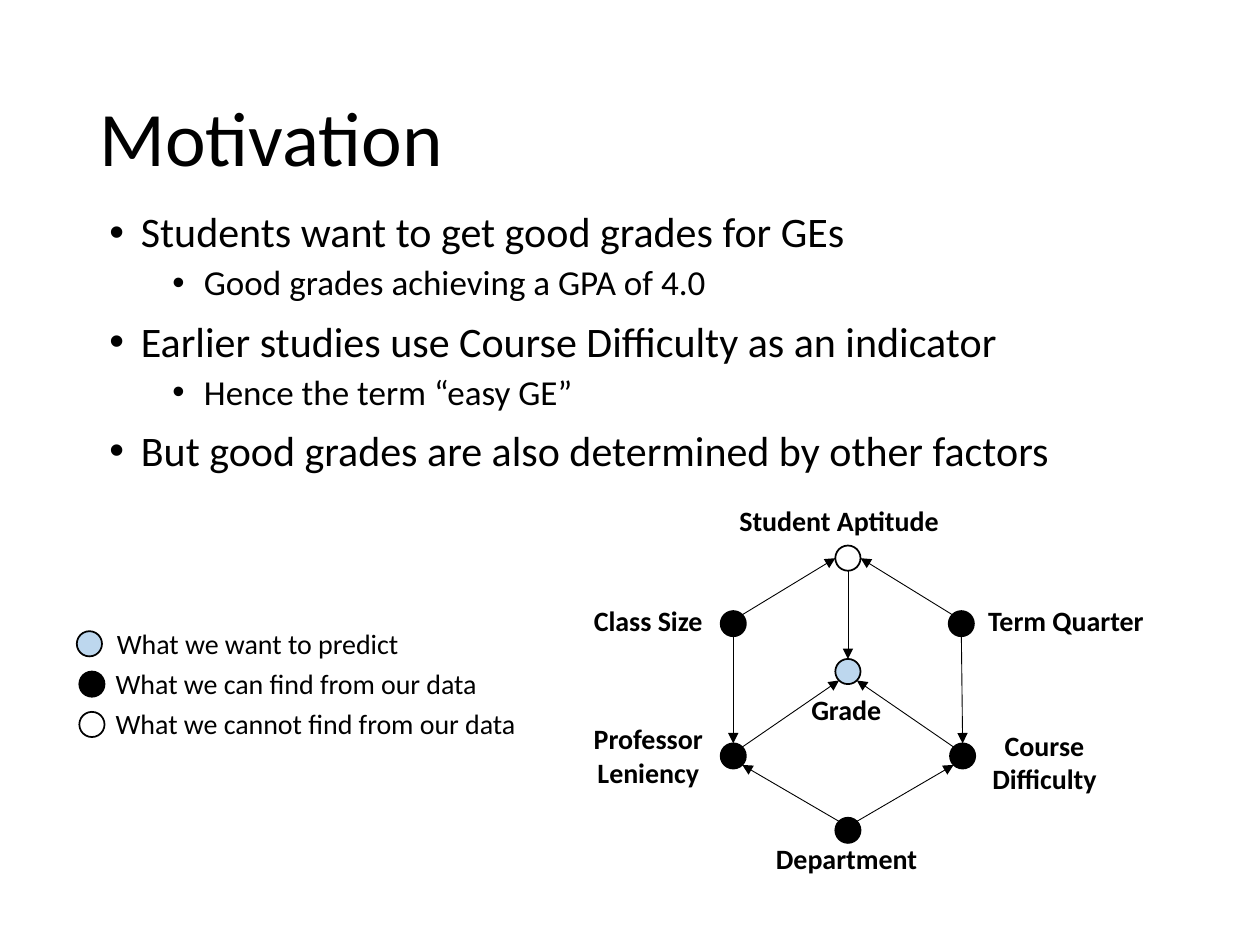
import math
from dataclasses import dataclass

from lxml import etree
from pptx import Presentation
from pptx.dml.color import RGBColor
from pptx.enum import shapes, text
from pptx.oxml import ns
from pptx.util import Inches, Pt


@dataclass(frozen=True)
class Theme:
    """Colours, type sizes and line weights of the slide."""
    font: str = "Calibri"
    ink: str = "000000"
    paper: str = "FFFFFF"
    target: str = "BDD7EE"
    title_size: int = 44
    bullet_sizes: tuple = (24, 20)
    bullet_gaps: tuple = (10, 5)
    label_size: int = 16
    outline: float = 1
    arrow: float = 0.5
    node: float = 0.2


THEME = Theme()
KNOWN, UNKNOWN, TARGET = THEME.ink, THEME.paper, THEME.target
LEFT, CENTER = text.PP_ALIGN.LEFT, text.PP_ALIGN.CENTER
SITE_ANGLES = {"right": 0, "bottom right": 45, "bottom": 90, "bottom left": 135,
               "left": 180, "top left": 225, "top": 270, "top right": 315}

BULLETS = [
    (0, "Students want to get good grades for GEs"),
    (1, "Good grades achieving a GPA of 4.0"),
    (0, "Earlier studies use Course Difficulty as an indicator"),
    (1, "Hence the term “easy GE”"),
    (0, "But good grades are also determined by other factors"),
]
# text, node colour, node left and top, label left and width
LEGEND = [
    ("What we want to predict", TARGET, (0, 0.09), 0.22, 2.8),
    ("What we can find from our data", KNOWN, (0.02, 0.09), 0.21, 3.26),
    ("What we cannot find from our data", UNKNOWN, (0.02, 0.09), 0.21, 3.53),
]
# name: colour, node centre, label box, label alignment
NODES = {
    "Student Aptitude": (UNKNOWN, (2.16, 0.48), (1.2, 0, 2.03, 0.37), LEFT),
    "Class Size": (KNOWN, (1.25, 1), (0.01, 0.79, 1.13, 0.37), CENTER),
    "Term Quarter": (KNOWN, (3.06, 1), (3.16, 0.79, 1.46, 0.37), CENTER),
    "Grade": (TARGET, (2.16, 1.38), (1.77, 1.5, 0.79, 0.37), LEFT),
    "Professor Leniency": (KNOWN, (1.25, 2.05), (0, 1.73, 1.15, 0.64), CENTER),
    "Course Difficulty": (KNOWN, (3.07, 2.05), (3.19, 1.78, 1.06, 0.64), CENTER),
    "Department": (KNOWN, (2.16, 2.64), (1.49, 2.68, 1.34, 0.37), LEFT),
}
# from node and side, to node and side
ARROWS = [
    ("Student Aptitude", "bottom", "Grade", "top"),
    ("Class Size", "top right", "Student Aptitude", "left"),
    ("Term Quarter", "top left", "Student Aptitude", "right"),
    ("Class Size", "bottom", "Professor Leniency", "top"),
    ("Term Quarter", "bottom", "Course Difficulty", "top"),
    ("Professor Leniency", "top right", "Grade", "bottom left"),
    ("Course Difficulty", "top left", "Grade", "bottom right"),
    ("Department", "top left", "Professor Leniency", "bottom right"),
    ("Department", "top right", "Course Difficulty", "bottom left"),
]


def apply(target, **values):
    """Set each named attribute on the target."""
    for name, value in values.items():
        setattr(target, name, value)


def write(paragraph, words, size, bold=False, **layout):
    """Fill a paragraph with one formatted run."""
    apply(paragraph, **layout)
    run = paragraph.add_run()
    run.text = words
    apply(run.font, name=THEME.font, size=Pt(size), bold=bold)
    run.font.color.rgb = RGBColor.from_string(THEME.ink)


def add_label(slide, box, words, bold=False, alignment=LEFT):
    """Add a caption in the given box."""
    frame = slide.shapes.add_textbox(*map(Inches, box)).text_frame
    apply(frame, word_wrap=True, auto_size=text.MSO_AUTO_SIZE.SHAPE_TO_FIT_TEXT)
    write(frame.paragraphs[0], words, THEME.label_size, bold, alignment=alignment)


def add_node(slide, left, top, color):
    """Add one outlined circle."""
    box = (left, top, THEME.node, THEME.node)
    shape = slide.shapes.add_shape(shapes.MSO_SHAPE.OVAL, *map(Inches, box))
    shape.shadow.inherit = False
    shape.fill.solid()
    shape.fill.fore_color.rgb = RGBColor.from_string(color)
    shape.line.color.rgb = RGBColor.from_string(THEME.ink)
    shape.line.width = Pt(THEME.outline)


def add_arrow(slide, start, end):
    """Add a thin straight arrow between two points."""
    connector = slide.shapes.add_connector(
        shapes.MSO_CONNECTOR.STRAIGHT, *map(Inches, (*start, *end)))
    connector.line.color.rgb = RGBColor.from_string(THEME.ink)
    connector.line.width = Pt(THEME.arrow)
    etree.SubElement(connector.line._get_or_add_ln(), ns.qn("a:tailEnd"), type="triangle")
    etree.SubElement(connector._element.spPr, ns.qn("a:effectLst"))


def add_title(slide, box, words):
    """Place and format the title placeholder."""
    title = slide.shapes.title
    apply(title, **dict(zip(("left", "top", "width", "height"), map(Inches, box))))
    title.text_frame.vertical_anchor = text.MSO_ANCHOR.MIDDLE
    write(title.text_frame.paragraphs[0], words, THEME.title_size,
          alignment=LEFT, line_spacing=0.9)


def add_bullets(slide, box, items):
    """Add the two-level bullet list."""
    frame = slide.shapes.add_textbox(*map(Inches, box)).text_frame
    frame.word_wrap = True
    for index, (level, words) in enumerate(items):
        paragraph = frame.add_paragraph() if index else frame.paragraphs[0]
        write(paragraph, words, THEME.bullet_sizes[level], level=level,
              line_spacing=0.9, space_before=Pt(THEME.bullet_gaps[level]))
        properties = paragraph._p.get_or_add_pPr()
        properties.set("marL", str(Inches(0.25 + 0.5 * level)))
        properties.set("indent", str(Inches(-0.25)))
        etree.SubElement(properties, ns.qn("a:buFont"), typeface="Arial")
        etree.SubElement(properties, ns.qn("a:buChar"), char="•")


def add_legend(slide, left, top, row_height):
    """Add the key to the node colours, one row per entry."""
    for row, (words, color, (x, y), label_left, width) in enumerate(LEGEND):
        row_top = top + row * row_height
        add_node(slide, left + x, row_top + y, color)
        add_label(slide, (left + label_left, row_top, width, 0.37), words)


def add_diagram(slide, left, top):
    """Add the graph of factors that determine a grade."""
    radius = THEME.node / 2

    def site(name, side):
        """Return the point on one side of a node."""
        x, y = NODES[name][1]
        angle = math.radians(SITE_ANGLES[side])
        return left + x + radius * math.cos(angle), top + y + radius * math.sin(angle)

    for name, (color, (x, y), label, alignment) in NODES.items():
        add_node(slide, left + x - radius, top + y - radius, color)
        label_x, label_y, width, height = label
        add_label(slide, (left + label_x, top + label_y, width, height),
                  name, True, alignment)
    for source, source_side, goal, goal_side in ARROWS:
        add_arrow(slide, site(source, source_side), site(goal, goal_side))


def main():
    """Build and save the slide."""
    presentation = Presentation()
    apply(presentation, slide_width=Inches(10), slide_height=Inches(7.5))
    slide = presentation.slides.add_slide(presentation.slide_layouts[5])
    add_title(slide, (0.69, 0.4, 8.62, 1.45), "Motivation")
    add_bullets(slide, (0.77, 1.63, 8.62, 2.33), BULLETS)
    add_legend(slide, 0.61, 4.92, 0.32)
    add_diagram(slide, 4.57, 3.95)
    presentation.save("out.pptx")


main()
